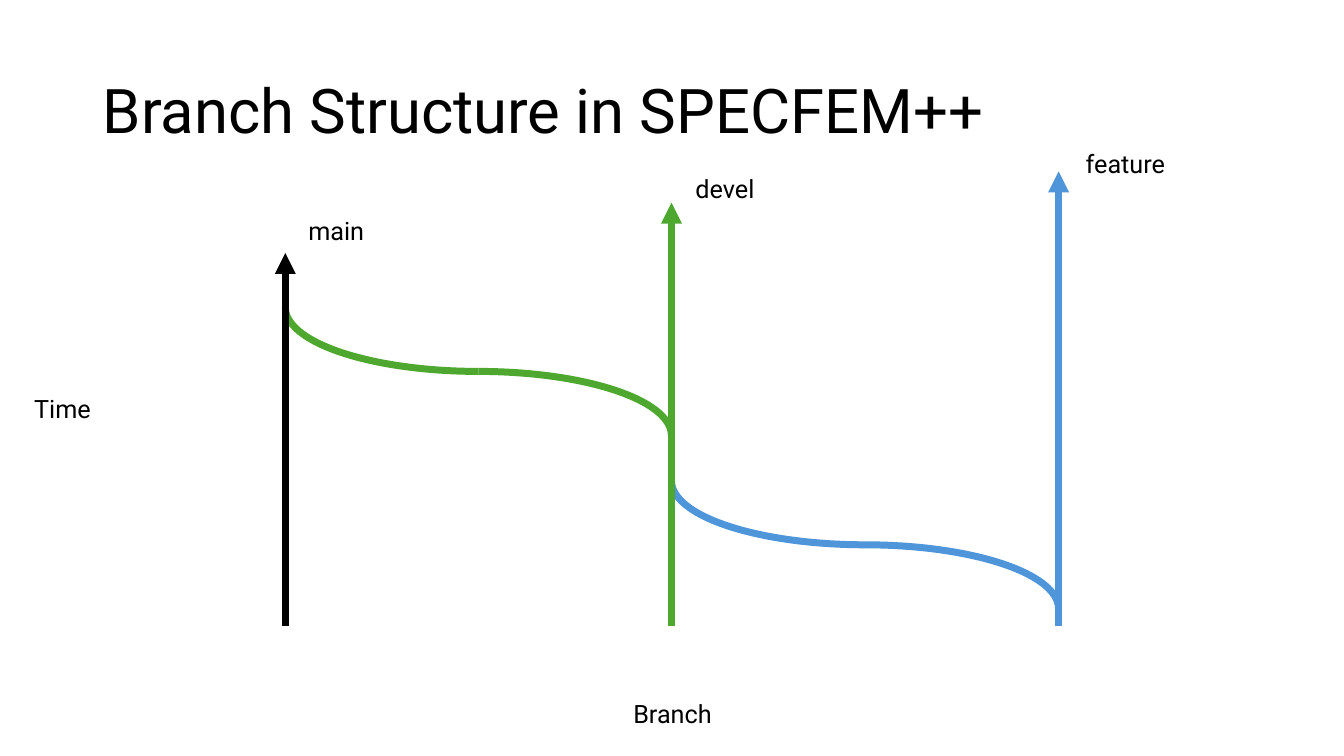
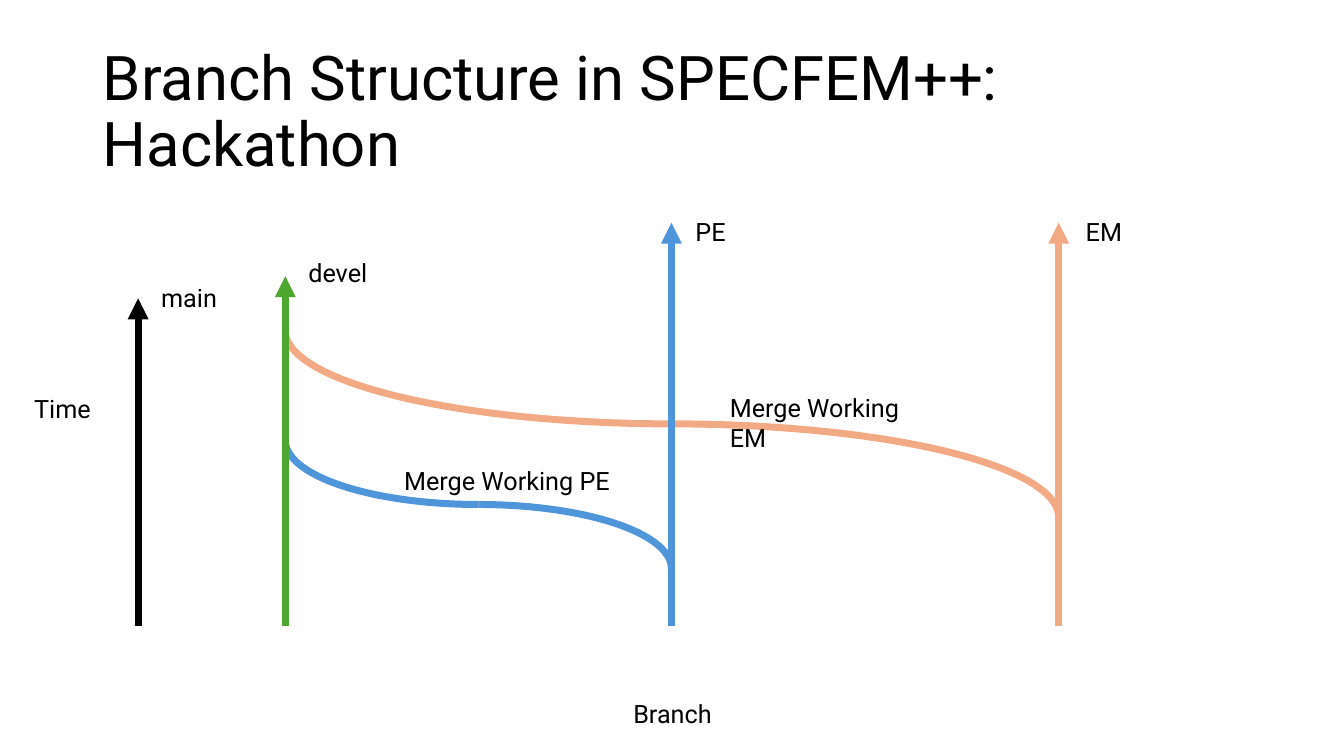
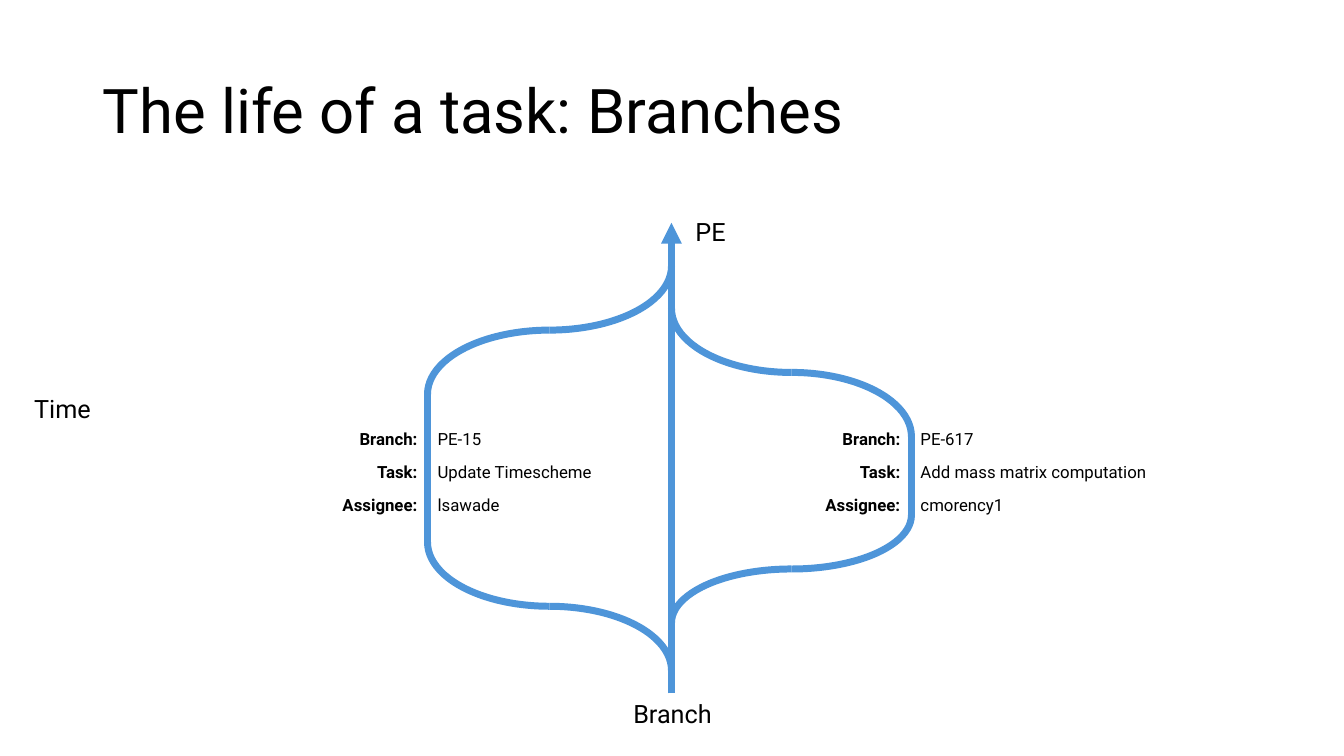
from typing import NamedTuple

from lxml.etree import SubElement
from pptx import Presentation
from pptx.dml.color import RGBColor
from pptx.enum.shapes import MSO_CONNECTOR, MSO_SHAPE
from pptx.enum.text import MSO_ANCHOR, MSO_AUTO_SIZE, PP_ALIGN
from pptx.oxml.ns import qn
from pptx.util import Inches, Pt

BLACK = RGBColor(0x00, 0x00, 0x00)
GREEN = RGBColor(0x4E, 0xA7, 0x2E)
BLUE = RGBColor(0x4E, 0x95, 0xD9)
ORANGE = RGBColor(0xF2, 0xAA, 0x84)

FONT = "Roboto"
LINE_WIDTH = Pt(5)
BASE = 6.21
ARC_UNITS_PER_DEGREE = 0.6
TOP_RIGHT, BOTTOM_RIGHT, BOTTOM_LEFT, TOP_LEFT = 270, 0, 90, 180


class Lane(NamedTuple):
    x: float
    label_left: float
    label_width: float = 0.84


OUTER = Lane(1.37, 1.5)
LEFT = Lane(2.83, 2.96)
MIDDLE = Lane(6.66, 6.8)
RIGHT = Lane(10.5, 10.67, 1.09)
TASK_LEFT = 4.24
TASK_RIGHT = 9.04


class BranchDeck:
    """Draws branch diagrams in one style on the current slide."""

    def __init__(self):
        self.presentation = Presentation()
        self.presentation.slide_width = Inches(13.33)
        self.presentation.slide_height = Inches(7.5)
        self.slide = None

    def start_slide(self, title):
        self.slide = self.presentation.slides.add_slide(self.presentation.slide_layouts[6])
        frame = self.text(title, 0.92, 0.4, 11.5, 1.45, size=44)
        frame.auto_size = MSO_AUTO_SIZE.NONE
        frame.vertical_anchor = MSO_ANCHOR.MIDDLE
        frame.paragraphs[0].line_spacing = 0.9
        self.text("Time", 0.18, 3.85, 0.88, align=PP_ALIGN.CENTER)
        self.text("Branch", 5.88, 6.88, 1.58, align=PP_ALIGN.CENTER)

    def style_paragraph(self, paragraph, size, align, bold=False):
        paragraph.alignment = align
        paragraph.font.name = FONT
        paragraph.font.size = Pt(size)
        paragraph.font.bold = bold
        paragraph.font.color.rgb = BLACK

    def text(self, words, left, top, width, height=0.4, size=18, align=PP_ALIGN.LEFT):
        box = self.slide.shapes.add_textbox(Inches(left), Inches(top), Inches(width), Inches(height))
        frame = box.text_frame
        frame.word_wrap = True
        frame.auto_size = MSO_AUTO_SIZE.SHAPE_TO_FIT_TEXT
        frame.text = words
        self.style_paragraph(frame.paragraphs[0], size, align)
        return frame

    def vertical(self, x, bottom, top, color, arrow=False):
        connector = self.slide.shapes.add_connector(
            MSO_CONNECTOR.STRAIGHT, Inches(x), Inches(bottom), Inches(x), Inches(top))
        connector.line.color.rgb = color
        connector.line.width = LINE_WIDTH
        properties = connector.element.spPr
        if arrow:
            SubElement(properties.get_or_add_ln(), qn("a:tailEnd"), type="triangle")
        SubElement(properties, qn("a:effectLst"))

    def branch(self, name, lane, tip, label_top, color, bottom=BASE):
        self.vertical(lane.x, bottom, tip, color, arrow=True)
        self.text(name, lane.label_left, label_top, lane.label_width)

    def merge(self, left, left_y, right, right_y, color):
        height = abs(right_y - left_y)
        falling = left_y < right_y
        quadrants = (BOTTOM_LEFT, TOP_RIGHT) if falling else (TOP_LEFT, BOTTOM_RIGHT)
        group = self.slide.shapes.add_group_shape()
        for middle_y, start in zip((left_y, right_y), quadrants):
            arc = group.shapes.add_shape(
                MSO_SHAPE.ARC, Inches(left), Inches(middle_y - height / 2),
                Inches(right - left), Inches(height))
            arc.adjustments[0] = start * ARC_UNITS_PER_DEGREE
            arc.adjustments[1] = (start + 90) % 360 * ARC_UNITS_PER_DEGREE
            arc.shadow.inherit = False
            arc.fill.background()
            arc.line.color.rgb = color
            arc.line.width = LINE_WIDTH

    def task_table(self, left, widths, values):
        top, row_height = 4.21, 0.33
        rows = list(zip(("Branch:", "Task:", "Assignee:"), values))
        table = self.slide.shapes.add_table(
            len(rows), len(widths), Inches(left), Inches(top),
            Inches(sum(widths)), Inches(row_height * len(rows))).table
        table.first_row = False
        table.horz_banding = False
        for column, width in zip(table.columns, widths):
            column.width = Inches(width)
        for row_index, row in enumerate(rows):
            for column_index, words in enumerate(row):
                cell = table.cell(row_index, column_index)
                cell.fill.background()
                cell.text = words
                is_key = column_index == 0
                align = PP_ALIGN.RIGHT if is_key else PP_ALIGN.LEFT
                self.style_paragraph(cell.text_frame.paragraphs[0], 12, align, is_key)


def main():
    deck = BranchDeck()

    deck.start_slide("Branch Structure in SPECFEM++")
    deck.merge(MIDDLE.x, 4.77, RIGHT.x, 6.04, BLUE)
    deck.merge(LEFT.x, 3.05, MIDDLE.x, 4.32, GREEN)
    deck.branch("main", LEFT, 2.51, 2.09, BLACK)
    deck.branch("devel", MIDDLE, 2.01, 1.67, GREEN)
    deck.branch("feature", RIGHT, 1.7, 1.42, BLUE)

    deck.start_slide("Branch Structure in SPECFEM++: Hackathon")
    deck.merge(LEFT.x, 3.28, RIGHT.x, 5.13, ORANGE)
    deck.merge(LEFT.x, 4.37, MIDDLE.x, 5.64, BLUE)
    deck.branch("main", OUTER, 2.96, 2.75, BLACK)
    deck.branch("devel", LEFT, 2.74, 2.5, GREEN)
    deck.branch("PE", MIDDLE, 2.21, 2.1, BLUE)
    deck.branch("EM", RIGHT, 2.21, 2.1, ORANGE)
    deck.text("Merge Working PE", 3.91, 4.57, 2.27)
    deck.text("Merge Working EM", 7.14, 3.84, 2.27)

    deck.start_slide("The life of a task: Branches")
    deck.task_table(7.46, (1.57, 2.88), ("PE-617", "Add mass matrix computation", "cmorency1"))
    deck.task_table(3.24, (1, 1.83), ("PE-15", "Update Timescheme", "lsawade"))
    deck.merge(MIDDLE.x, 3.06, TASK_RIGHT, 4.33, BLUE)
    deck.merge(MIDDLE.x, 6.18, TASK_RIGHT, 5.11, BLUE)
    deck.merge(TASK_LEFT, 3.91, MIDDLE.x, 2.64, BLUE)
    deck.merge(TASK_LEFT, 5.38, MIDDLE.x, 6.65, BLUE)
    deck.vertical(TASK_LEFT, 5.39, 3.89, BLUE)
    deck.vertical(TASK_RIGHT, 5.13, 4.32, BLUE)
    deck.branch("PE", MIDDLE, 2.21, 2.1, BLUE, bottom=6.88)

    deck.presentation.save("out.pptx")


if __name__ == "__main__":
    main()
